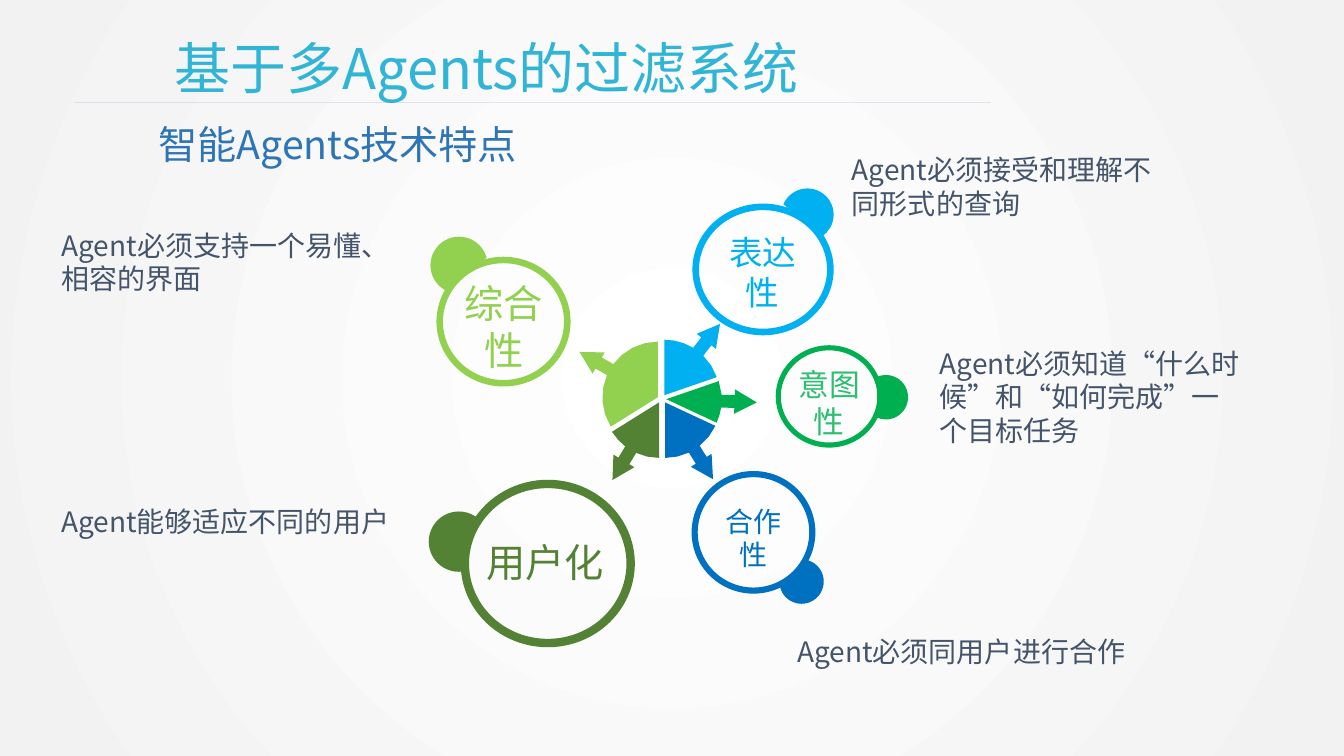
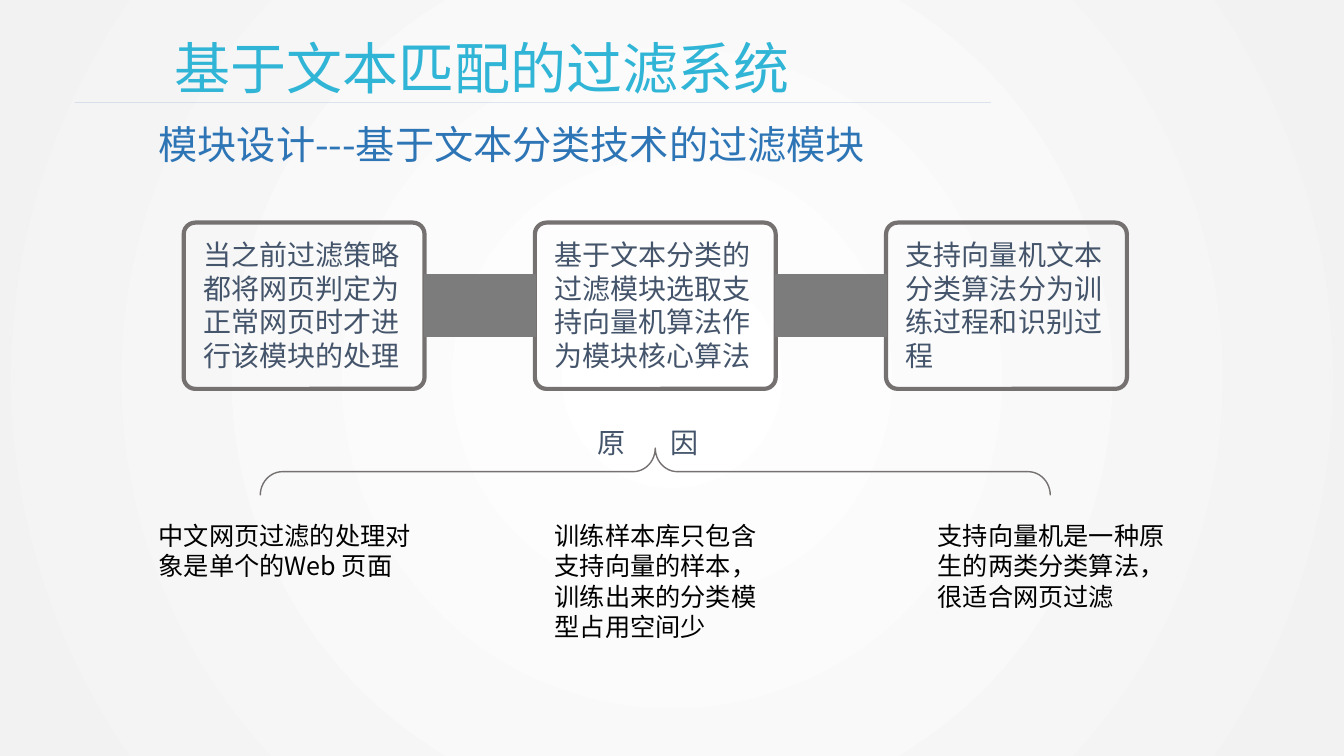
from collections import namedtuple
from math import acos, asin, atan2, ceil, cos, degrees, hypot, radians, sin

from lxml import etree
from pptx import Presentation
from pptx import util as u
from pptx.dml.color import RGBColor
from pptx.enum import shapes, text
from pptx.oxml.ns import qn

FONT = "Noto Sans CJK SC"
WHITE = RGBColor(0xFF, 0xFF, 0xFF)
PALE_GRAY = RGBColor(0xF2, 0xF2, 0xF2)
TITLE_CYAN = RGBColor(0x31, 0xB5, 0xD6)
SUBTITLE_BLUE = RGBColor(0x2E, 0x75, 0xB6)
RULE_BLUE = RGBColor(0x4A, 0x7E, 0xBB)
SLATE = RGBColor(0x44, 0x54, 0x6A)
BLACK = RGBColor(0, 0, 0)
FRAME_GRAY = RGBColor(0x76, 0x71, 0x71)
BRIDGE_GRAY = RGBColor(0x7C, 0x7C, 0x7C)
SKY = RGBColor(0x00, 0xB0, 0xF0)
LIME = RGBColor(0x92, 0xD0, 0x50)
GREEN = RGBColor(0x00, 0xB0, 0x50)
SOFT_GREEN = RGBColor(0x2E, 0xBE, 0x70)
BLUE = RGBColor(0x00, 0x70, 0xC0)
OLIVE = RGBColor(0x54, 0x82, 0x35)

Box = namedtuple("Box", "left top width height")  # centimetres
Slice = namedtuple("Slice", "color dx dy start end arrow")  # degrees, clockwise
Bubble = namedtuple("Bubble", "box color bump label size label_color label_box")

HUB = Box(15.26, 8.66, 2.8, 2.8)
SLICES = [
    Slice(SKY, 0.08, -0.1, -90, -19, -52),
    Slice(LIME, -0.08, -0.05, 148, 270, 210),
    Slice(GREEN, 0.13, 0, -19, 25, 2),
    Slice(BLUE, 0.1, 0.08, 25, 90, 58),
    Slice(OLIVE, -0.05, 0.08, 90, 148, 121),
]
# A bump is (dx, dy, radius) from the centre of its ring;
# a label box is measured from the top left corner of the ring.
BUBBLES = [
    Bubble(Box(11, 6.47, 3.38, 3.27), LIME, (-1.12, -1.42, 0.72),
           "综合性", 28, LIME, Box(0.2, 0.44, 3, 2.72)),
    Bubble(Box(17.45, 5.13, 3.56, 3.32), SKY, (1.12, -1.38, 0.66),
           "表达性", 24, SKY, Box(0.41, 0.58, 2.72, 2.36)),
    Bubble(Box(19.55, 8.7, 2.69, 2.58), GREEN, (1.43, 0.02, 0.56),
           "意图性", 22, SOFT_GREEN, Box(0.04, 0.4, 2.62, 2.18)),
    Bubble(Box(17.43, 11.87, 3.12, 3.09), BLUE, (1.21, 1.24, 0.56),
           "合作性", 20, BLUE, Box(0.43, 0.71, 2.26, 2)),
    Bubble(Box(11.61, 12.09, 4.39, 4.22), OLIVE, (-2.24, -0.55, 0.76),
           "用户化", 28, OLIVE, Box(-0.22, 1.35, 4.7, 1.52)),
]
TRAIT_NOTES = [
    (Box(1.3, 5.63, 9.86, 2), ["Agent必须支持一个易懂、", "相容的界面"]),
    (Box(21.22, 3.72, 8.08, 2), ["Agent必须接受和理解不同形式的查询"]),
    (Box(23.43, 8.6, 8.08, 2.84), ["Agent必须知道“什么时候”和“如何完成”一个目标任务"]),
    (Box(19.84, 15.87, 10.82, 1.17), ["Agent必须同用户进行合作"]),
    (Box(1.29, 12.58, 9.9, 1.17), ["Agent能够适应不同的用户"]),
]
STEPS = [
    "当之前过滤策略都将网页判定为正常网页时才进行该模块的处理",
    "基于文本分类的过滤模块选取支持向量机算法作为模块核心算法",
    "支持向量机文本分类算法分为训练过程和识别过程",
]
REASONS = [
    (Box(3.75, 12.99, 6.93, 1.83), "中文网页过滤的处理对象是单个的Web 页面"),
    (Box(13.73, 12.99, 6.12, 3.35), "训练样本库只包含支持向量的样本，训练出来的分类模型占用空间少"),
    (Box(23.38, 12.99, 6.76, 2.6), "支持向量机是一种原生的两类分类算法，很适合网页过滤"),
]


def cm(box):
    return [u.Cm(v) for v in box]


def write(tf, paragraphs, size, color, align=text.PP_ALIGN.LEFT, tab=None):
    tf.word_wrap = True
    for i, line in enumerate(paragraphs):
        p = tf.paragraphs[0] if i == 0 else tf.add_paragraph()
        p.alignment = align
        if tab:
            tabs = etree.SubElement(p._p.get_or_add_pPr(), qn("a:tabLst"))
            etree.SubElement(tabs, qn("a:tab"), pos=str(u.Cm(tab)), algn="l")
        r = p.add_run()
        r.text = line
        r.font.size = u.Pt(size)
        r.font.color.rgb = color
        r.font.name = FONT
        etree.SubElement(r._r.get_or_add_rPr(), qn("a:ea"), typeface=FONT)


def add_text(s, box, paragraphs, size, color, **options):
    write(s.shapes.add_textbox(*cm(box)).text_frame, paragraphs, size, color, **options)


def paint(sp, fill=None, line=None, width=1):
    sp.shadow.inherit = False
    if fill is None:
        sp.fill.background()
    else:
        sp.fill.solid()
        sp.fill.fore_color.rgb = fill
    if line is None:
        sp.line.fill.background()
    else:
        sp.line.color.rgb = line
        sp.line.width = u.Pt(width)


def set_background(master):
    """Give every slide a round gradient that starts in the middle."""
    fill = master.background.fill
    fill.gradient()
    for stop, color, position in zip(fill.gradient_stops, (WHITE, PALE_GRAY), (0, 1)):
        stop.color.rgb = color
        stop.position = position
    grad = master.element.find(".//" + qn("p:bgPr")).find(qn("a:gradFill"))
    linear = grad.find(qn("a:lin"))
    circle = etree.Element(qn("a:path"), path="circle")
    etree.SubElement(circle, qn("a:fillToRect"), l="50000", t="50000", r="50000", b="50000")
    grad.replace(linear, circle)


def add_heading(s, box, title, subtitle, subtitle_width):
    add_text(s, Box(box.left + 2.27, box.top, 28.96, 1.96), [title], 40, TITLE_CYAN)
    y = u.Cm(box.top + box.height)
    rule = s.shapes.add_connector(shapes.MSO_CONNECTOR.STRAIGHT,
                                  u.Cm(box.left), y, u.Cm(box.left + box.width), y)
    rule.line.color.rgb = RULE_BLUE
    rule.line.width = u.Pt(0.5)
    color = rule.line._ln.find(".//" + qn("a:srgbClr"))
    etree.SubElement(color, qn("a:alpha"), val="25000")
    etree.SubElement(rule._element.spPr, qn("a:effectLst"))
    add_text(s, Box(box.left + 1.87, box.top + 2.2, subtitle_width, 1.52),
             [subtitle], 28, SUBTITLE_BLUE)


def arc(start, end):
    """Return points of the unit circle, at most 15 degrees apart."""
    steps = ceil((end - start) / 15)
    angles = [radians(start + (end - start) * i / steps) for i in range(steps + 1)]
    return [(cos(a), sin(a)) for a in angles]


def add_slice(s, box, part):
    """Draw a pie slice with an arrow growing out of its rim."""
    radius = box.width / 2
    shaft, head, neck, tip = 0.115, 0.22, 1.23, 1.63  # in radii
    spread = degrees(asin(shaft))
    c, n = cos(radians(part.arrow)), sin(radians(part.arrow))
    arrow = [(neck, -shaft), (neck, -head), (tip, 0), (neck, head), (neck, shaft)]
    outline = [(0, 0)] + arc(part.start, part.arrow - spread)
    outline += [(along * c - side * n, along * n + side * c) for along, side in arrow]
    outline += arc(part.arrow + spread, part.end)
    x, y = box.left + radius + part.dx, box.top + radius + part.dy
    points = [(u.Cm(x + radius * px), u.Cm(y + radius * py)) for px, py in outline]
    builder = s.shapes.build_freeform(*points[0])
    builder.add_line_segments(points[1:], close=True)
    paint(builder.convert_to_shape(), part.color)


def add_bubble(s, bubble):
    """Draw a ring with a label, and a bump cut off where it meets the ring."""
    box = bubble.box
    ring = s.shapes.add_shape(shapes.MSO_SHAPE.DONUT, *cm(box))
    ring.adjustments[0] = 0.05
    paint(ring, bubble.color)

    dx, dy, radius = bubble.bump
    bump_box = Box(box.left + box.width / 2 + dx - radius,
                   box.top + box.height / 2 + dy - radius, 2 * radius, 2 * radius)
    ring_radius, reach = (box.width + box.height) / 4, hypot(dx, dy)
    outward = degrees(atan2(dy, dx))
    half = degrees(acos((ring_radius ** 2 - reach ** 2 - radius ** 2) / (2 * reach * radius)))
    bump = s.shapes.add_shape(shapes.MSO_SHAPE.CHORD, *cm(bump_box))
    for i, angle in enumerate((outward - half, outward + half)):
        bump.adjustments[i] = angle % 360 * 0.6  # 60000 units a degree, over 100000
    paint(bump, bubble.color)

    label = bubble.label_box
    add_text(s, label._replace(left=box.left + label.left, top=box.top + label.top),
             [bubble.label], bubble.size, bubble.label_color, align=text.PP_ALIGN.CENTER)


def add_steps(s, box, gap):
    """Place the framed steps in a row, with a bar bridging each gap."""
    width = (box.width - gap * (len(STEPS) - 1)) / len(STEPS)
    for i, step in enumerate(STEPS):
        left = box.left + i * (width + gap)
        frame = s.shapes.add_shape(shapes.MSO_SHAPE.ROUNDED_RECTANGLE,
                                   *cm(Box(left, box.top, width, box.height)))
        frame.adjustments[0] = 0.07
        paint(frame, line=FRAME_GRAY, width=3)
        inset = 0.25
        add_text(s, Box(left + inset, box.top + inset, width - 2 * inset, 3.7),
                 [step], 20, SLATE)
        if i:
            bar = Box(left - gap, box.top + 1.32, gap, 1.55)
            paint(s.shapes.add_shape(shapes.MSO_SHAPE.RECTANGLE, *cm(bar)),
                  BRIDGE_GRAY, BRIDGE_GRAY)


def add_brace(s, box):
    """Fill the box with a brace that points up."""
    turned = Box(box.left + (box.width - box.height) / 2,
                 box.top + (box.height - box.width) / 2, box.height, box.width)
    brace = s.shapes.add_shape(shapes.MSO_SHAPE.RIGHT_BRACE, *cm(turned))
    brace.rotation = 270
    brace.adjustments[0], brace.adjustments[1] = 0.47, 0.5
    paint(brace, line=FRAME_GRAY)


def build_traits(s, heading):
    add_heading(s, heading, "基于多Agents的过滤系统", "智能Agents技术特点", 9.9)
    for part in SLICES:
        add_slice(s, HUB, part)
    for bubble in BUBBLES:
        add_bubble(s, bubble)
    for box, lines in TRAIT_NOTES:
        add_text(s, box, lines, 20, SLATE)


def build_module(s, heading):
    add_heading(s, heading, "基于文本匹配的过滤系统",
                "模块设计---基于文本分类技术的过滤模块", 21.23)
    add_steps(s, Box(4.63, 5.61, 23.77, 4.19), 2.78)
    add_brace(s, Box(6.56, 11.29, 19.91, 1.19))
    add_text(s, Box(14.82, 10.6, 3.4, 1.17), ["原\t因"], 20, SLATE, tab=1.82)
    for box, reason in REASONS:
        add_text(s, box, [reason], 18, BLACK)


def main():
    prs = Presentation()
    prs.slide_width, prs.slide_height = u.Cm(33.87), u.Cm(19.05)
    set_background(prs.slide_master)
    heading = Box(1.88, 0.71, 23.09, 1.87)
    for build in (build_traits, build_module):
        build(prs.slides.add_slide(prs.slide_layouts[6]), heading)
    prs.save("out.pptx")


if __name__ == "__main__":
    main()
